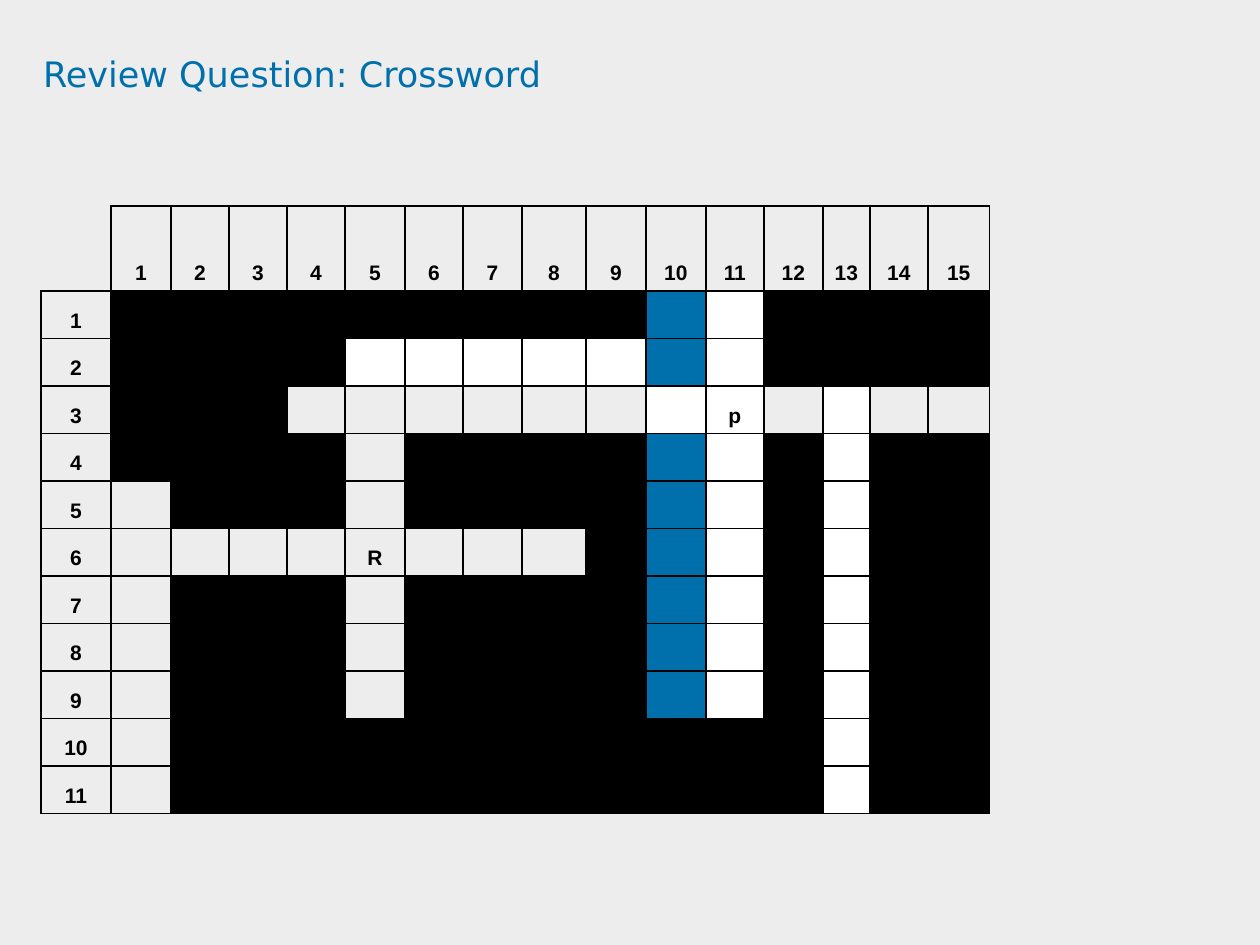
from dataclasses import dataclass

from lxml import etree
from pptx import Presentation
from pptx import util as u
from pptx.dml.color import RGBColor
from pptx.enum import text
from pptx.oxml.ns import qn

PX = u.Inches(1) / 126


@dataclass(frozen=True)
class Theme:
    page: str = "EDEDED"
    blue: str = "0070AD"
    white: str = "FFFFFF"
    black: str = "000000"
    title_font: str = "DejaVu Sans"
    cell_font: str = "Arial"
    title_size: int = 20
    cell_size: int = 12


THEME = Theme()
FILLS = {"#": THEME.black, "B": THEME.blue, "W": THEME.white}
DOWN_WORDS = ".###.####BW#W##"
LOWER_WORDS = ".###########W##"
GRID = [
    "#########BW####",
    "####WWWWWBW####",
    "###......WW.W..",
    "####.####BW#W##",
    DOWN_WORDS,
    "........#BW#W##",
    *[DOWN_WORDS] * 3,
    *[LOWER_WORDS] * 2,
]
LETTERS = {(3, 11): "p", (6, 5): "R"}
COLUMN_WIDTHS = [70, 60, 58, 58, 58, 60, 58, 59, 64, 60, 60, 58, 59, 47, 58, 62]
HEADER_HEIGHT = 85


def px(length):
    return u.Emu(round(length * PX))


def apply(target, **values):
    for name, value in values.items():
        setattr(target, name, value)


def style_font(font, name, size, color, bold=False):
    apply(font, name=name, size=u.Pt(size), bold=bold)
    font.color.rgb = RGBColor.from_string(color)


def add_title(page, wording, left, top, width, height):
    title = page.shapes.title
    apply(title, left=px(left), top=px(top), width=px(width), height=px(height))
    frame = title.text_frame
    apply(frame, margin_left=0, margin_top=0, margin_right=0, margin_bottom=0,
          word_wrap=True, auto_size=text.MSO_AUTO_SIZE.NONE,
          vertical_anchor=text.MSO_ANCHOR.TOP)
    para = frame.paragraphs[0]
    apply(para, alignment=text.PP_ALIGN.LEFT, line_spacing=0.9)
    span = para.add_run()
    span.text = wording
    style_font(span.font, THEME.title_font, THEME.title_size, THEME.blue)


def set_borders(cell, visible):
    """Draw the listed sides (L, R, T, B) in black and hide the others."""
    properties = cell._tc.get_or_add_tcPr()
    for index, side in enumerate("LRTB"):
        line = etree.Element(qn(f"a:ln{side}"), w=str(u.Pt(1)))
        if side in visible:
            fill = etree.SubElement(line, qn("a:solidFill"))
            etree.SubElement(fill, qn("a:srgbClr"), val=THEME.black)
        else:
            etree.SubElement(line, qn("a:noFill"))
        properties.insert(index, line)


def write_cell(cell, wording):
    """Centre the wording, with side margins that let two digits fit the narrowest column."""
    apply(cell, vertical_anchor=text.MSO_ANCHOR.BOTTOM,
          margin_left=px(8), margin_right=px(8),
          margin_top=px(6), margin_bottom=px(6))
    para = cell.text_frame.paragraphs[0]
    apply(para, alignment=text.PP_ALIGN.CENTER,
          space_before=u.Pt(0.2 * THEME.cell_size))
    if wording:
        span = para.add_run()
        span.text = wording
        style_font(span.font, THEME.cell_font, THEME.cell_size, THEME.black, True)
    else:
        etree.SubElement(para._p, qn("a:endParaRPr"), sz=str(THEME.cell_size * 100))


def cell_wording(row, column):
    if row and column:
        return LETTERS.get((row, column), "")
    return str(row or column or "")


def add_crossword(page, left, top, width, height):
    rows, columns = len(GRID) + 1, len(COLUMN_WIDTHS)
    table = page.shapes.add_table(
        rows, columns, px(left), px(top), px(width), px(height)).table
    apply(table, first_row=False, horz_banding=False)
    for column, column_width in zip(table.columns, COLUMN_WIDTHS):
        column.width = px(column_width * width / sum(COLUMN_WIDTHS))
    row_height = (height - HEADER_HEIGHT) / len(GRID)
    for row_number, row in enumerate(table.rows):
        row.height = px(row_height if row_number else HEADER_HEIGHT)
        for column_number, cell in enumerate(row.cells):
            is_square = row_number and column_number
            mark = GRID[row_number - 1][column_number - 1] if is_square else "."
            if mark in FILLS:
                cell.fill.solid()
                cell.fill.fore_color.rgb = RGBColor.from_string(FILLS[mark])
            else:
                cell.fill.background()
            set_borders(cell, "LRTB" if row_number or column_number else "RB")
            write_cell(cell, cell_wording(row_number, column_number))


def main():
    deck = Presentation()
    apply(deck, slide_width=px(1260), slide_height=px(945))
    page = deck.slides.add_slide(deck.slide_layouts[5])
    page.background.fill.solid()
    page.background.fill.fore_color.rgb = RGBColor.from_string(THEME.page)
    add_title(page, "Review Question: Crossword", 43, 57, 1145, 118)
    add_crossword(page, 41, 206, 949, 608)
    deck.save("out.pptx")


if __name__ == "__main__":
    main()
